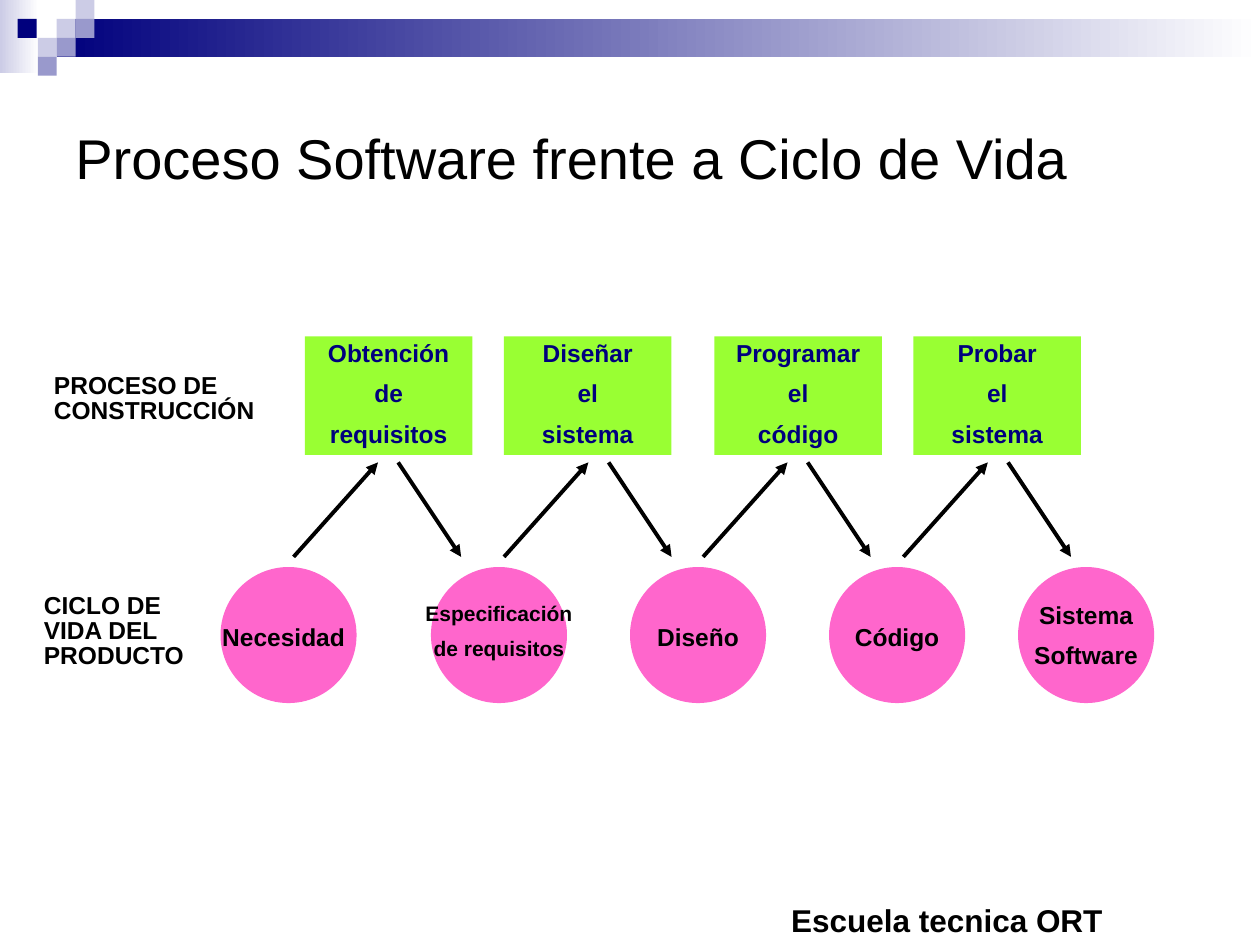
"""Build the slide comparing the software process with the product life cycle."""
from lxml.etree import SubElement
from pptx import Presentation
from pptx.dml.color import RGBColor
from pptx.enum.shapes import MSO_CONNECTOR, MSO_SHAPE
from pptx.enum.text import MSO_ANCHOR, MSO_AUTO_SIZE, PP_ALIGN
from pptx.oxml.ns import qn
from pptx.util import Inches, Pt

BLACK, WHITE, NAVY = "000000", "FFFFFF", "00007D"
LILAC, VIOLET, GREEN, PINK = "CCCCE6", "9999CC", "99FF33", "FF66CC"


def paint(kind, left, top, width, height, *colors):
    area = slide.shapes.add_shape(
        kind, Inches(left), Inches(top), Inches(width), Inches(height))
    area.shadow.inherit = False
    area.line.fill.background()
    if len(colors) == 1:
        area.fill.solid()
        area.fill.fore_color.rgb = RGBColor.from_string(colors[0])
    else:
        area.fill.gradient()
        area.fill.gradient_angle = 180
        for stop, color in zip(area.fill.gradient_stops, colors):
            stop.color.rgb = RGBColor.from_string(color)
    return area


def write(area, lines, size=14, color=BLACK, bold=True, align=PP_ALIGN.LEFT,
          spacing=0.85, anchor=MSO_ANCHOR.TOP, fit=MSO_AUTO_SIZE.SHAPE_TO_FIT_TEXT):
    frame = area.text_frame
    frame_format = {"word_wrap": True, "auto_size": fit, "vertical_anchor": anchor}
    for name, value in frame_format.items():
        setattr(frame, name, value)
    frame.text = "\n".join(lines)
    for index, paragraph in enumerate(frame.paragraphs):
        paragraph_format = {"alignment": align, "line_spacing": spacing,
                            "space_before": Pt(size * 0.625 if index else 0)}
        font_format = {"name": "Arial", "size": Pt(size), "bold": bold}
        for target, values in ((paragraph, paragraph_format),
                               (paragraph.runs[0].font, font_format)):
            for name, value in values.items():
                setattr(target, name, value)
        paragraph.runs[0].font.color.rgb = RGBColor.from_string(color)


deck = Presentation()
deck.slide_width, deck.slide_height = Inches(10), Inches(7.5)
slide = deck.slides.add_slide(deck.slide_layouts[6])

paint(MSO_SHAPE.RECTANGLE, 0, 0, 0.31, 0.58, WHITE, LILAC)
paint(MSO_SHAPE.RECTANGLE, 0.45, 0.15, 9.55, 0.3, WHITE, NAVY)
mosaic = [(0.45, 0.15, LILAC), (0.6, 0, LILAC), (0.6, 0.15, VIOLET), (0.3, 0.3, LILAC),
          (0.14, 0.15, NAVY), (0.45, 0.3, VIOLET), (0.3, 0.45, VIOLET)]
for left, top, color in mosaic:
    paint(MSO_SHAPE.RECTANGLE, left, top, 0.15, 0.15, color)

school = slide.shapes.add_textbox(Inches(6.18), Inches(7.1), Inches(3.45), Inches(0.4))
write(school, ["Escuela tecnica ORT"], size=18, spacing=1, anchor=MSO_ANCHOR.MIDDLE)
title = slide.shapes.add_textbox(Inches(0.5), Inches(0.5), Inches(9), Inches(1.5))
write(title, ["Proceso Software frente a Ciclo de Vida"], size=32, bold=False,
      spacing=1, anchor=MSO_ANCHOR.MIDDLE, fit=MSO_AUTO_SIZE.NONE)

row_names = [("PROCESO DE CONSTRUCCIÓN", 0.33, 2.92, 1.83, 0.5),
             ("CICLO DE VIDA DEL PRODUCTO", 0.25, 4.67, 1.5, 0.7)]
for name, left, top, width, height in row_names:
    heading = slide.shapes.add_textbox(
        Inches(left), Inches(top), Inches(width), Inches(height))
    write(heading, [name])

activities = [(2.42, ["Obtención", "de", "requisitos"]), (4, ["Diseñar", "el", "sistema"]),
              (5.67, ["Programar", "el", "código"]), (7.25, ["Probar", "el", "sistema"])]
for left, lines in activities:
    activity = paint(MSO_SHAPE.RECTANGLE, left, 2.67, 1.33, 0.94, GREEN)
    write(activity, lines, color=NAVY, align=PP_ALIGN.CENTER)

diameter = 1.08
products = [(1.75, ["Necesidad"], 14, 1.25, PP_ALIGN.LEFT),
            (3.42, ["Especificación", "de requisitos"], 12, 1.42, PP_ALIGN.CENTER),
            (5, ["Diseño"], 14, 1.25, PP_ALIGN.CENTER),
            (6.58, ["Código"], 14, 1.25, PP_ALIGN.CENTER),
            (8.08, ["Sistema", "Software"], 14, 1.25, PP_ALIGN.CENTER)]
for left, lines, size, width, align in products:
    paint(MSO_SHAPE.OVAL, left, 4.5, diameter, diameter, PINK)
    top, height = (4.92, 0.3) if len(lines) == 1 else (4.75, 0.6)
    product = slide.shapes.add_textbox(
        Inches(left + (diameter - width) / 2), Inches(top), Inches(width), Inches(height))
    write(product, lines, size=size, align=align)

upper, lower = 3.67, 4.42
for start in (2.33, 4, 5.58, 7.17):
    for x1, y1, x2, y2 in ((0, lower, 0.67, upper), (0.83, upper, 1.33, lower)):
        arrow = slide.shapes.add_connector(
            MSO_CONNECTOR.STRAIGHT, Inches(start + x1), Inches(y1),
            Inches(start + x2), Inches(y2))
        arrow.line.width = Pt(2.25)
        arrow.line.color.rgb = RGBColor.from_string(BLACK)
        SubElement(arrow.line._get_or_add_ln(), qn("a:tailEnd"), type="triangle")
        SubElement(arrow._element.spPr, qn("a:effectLst"))

deck.save("out.pptx")
